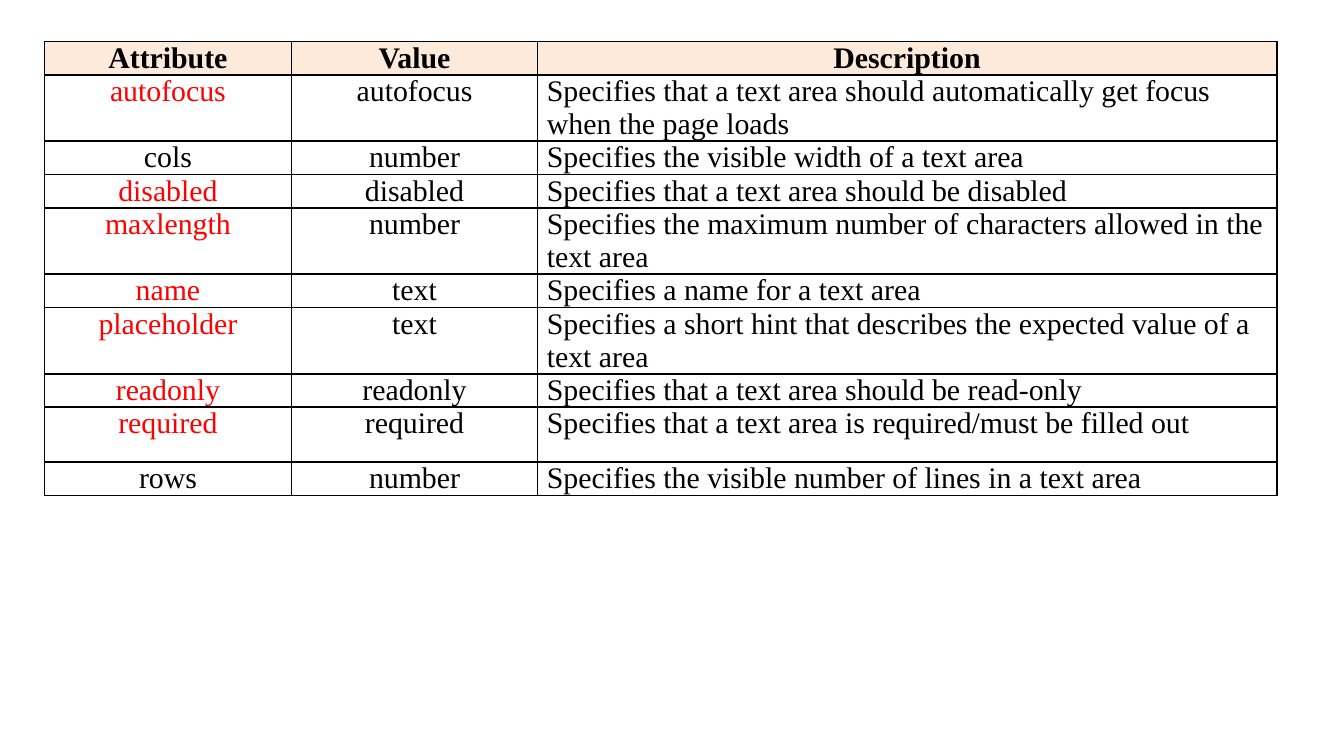
import pptx
import pptx.util
import pptx.dml.color
import pptx.enum.text
import pptx.oxml.ns
import lxml.etree

Inches = pptx.util.Inches
ALIGN = pptx.enum.text.PP_ALIGN
COLORS = {"text": "000000", "highlight": "FF0000", "header": "FDEADA", "border": "000000"}

HEADERS = ("Attribute", "Value", "Description")
ATTRIBUTES = [
    ("autofocus", "autofocus",
     "Specifies that a text area should automatically get focus when the page loads"),
    ("cols", "number", "Specifies the visible width of a text area"),
    ("disabled", "disabled", "Specifies that a text area should be disabled"),
    ("maxlength", "number",
     "Specifies the maximum number of characters allowed in the text area"),
    ("name", "text", "Specifies a name for a text area"),
    ("placeholder", "text",
     "Specifies a short hint that describes the expected value of a text area"),
    ("readonly", "readonly", "Specifies that a text area should be read-only"),
    ("required", "required", "Specifies that a text area is required/must be filled out"),
    ("rows", "number", "Specifies the visible number of lines in a text area"),
]
PLAIN_NAMES = {"cols", "rows"}
TALL_NAMES = {"autofocus", "maxlength", "placeholder", "required"}
COLUMN_WIDTHS = (1.84, 1.83, 5.5)
ROW_HEIGHT, TALL_HEIGHT = 0.2, 0.41


def rgb(name):
    return pptx.dml.color.RGBColor.from_string(COLORS[name])


def set_all(target, values):
    for name, value in values.items():
        setattr(target, name, value)


class SlideBuilder:
    FONT = {"name": "Times New Roman", "size": pptx.util.Pt(16)}
    MARGINS = {"margin_left": Inches(0.07), "margin_right": Inches(0.07),
               "margin_top": 0, "margin_bottom": 0}

    def __init__(self, page):
        self.page = page

    def table(self, left, top, widths, heights):
        frame = self.page.shapes.add_table(
            len(heights), len(widths), Inches(left), Inches(top),
            Inches(sum(widths)), Inches(sum(heights)))
        grid = frame.table
        set_all(grid, {"first_row": False, "horz_banding": False})
        for column, width in zip(grid.columns, widths):
            column.width = Inches(width)
        for row, height in zip(grid.rows, heights):
            row.height = Inches(height)
        return grid

    def borders(self, cell):
        qn = pptx.oxml.ns.qn
        properties = cell._tc.get_or_add_tcPr()
        for side in ("a:lnL", "a:lnR", "a:lnT", "a:lnB"):
            line = lxml.etree.SubElement(properties, qn(side), w=str(pptx.util.Pt(1)))
            fill = lxml.etree.SubElement(line, qn("a:solidFill"))
            lxml.etree.SubElement(fill, qn("a:srgbClr"), val=COLORS["border"])

    def cell(self, cell, text, align, color="text", bold=False, fill=None):
        set_all(cell, self.MARGINS)
        self.borders(cell)
        if fill:
            cell.fill.solid()
            cell.fill.fore_color.rgb = rgb(fill)
        else:
            cell.fill.background()
        para = cell.text_frame.paragraphs[0]
        para.alignment = align
        span = para.add_run()
        span.text = text
        set_all(span.font, {**self.FONT, "bold": bold})
        span.font.color.rgb = rgb(color)


def main():
    # Widescreen page, 16:9
    deck = pptx.Presentation()
    set_all(deck, {"slide_width": Inches(10), "slide_height": Inches(10 * 9 / 16)})
    builder = SlideBuilder(deck.slides.add_slide(deck.slide_layouts[6]))

    # Table grid
    heights = [ROW_HEIGHT] + [TALL_HEIGHT if name in TALL_NAMES else ROW_HEIGHT
                              for name, _, _ in ATTRIBUTES]
    grid = builder.table(0.33, 0.31, COLUMN_WIDTHS, heights)

    # Header row
    for column, text in enumerate(HEADERS):
        builder.cell(grid.cell(0, column), text, ALIGN.CENTER, bold=True, fill="header")

    # Attribute rows
    for row, (name, value, description) in enumerate(ATTRIBUTES, start=1):
        color = "text" if name in PLAIN_NAMES else "highlight"
        builder.cell(grid.cell(row, 0), name, ALIGN.CENTER, color)
        builder.cell(grid.cell(row, 1), value, ALIGN.CENTER)
        builder.cell(grid.cell(row, 2), description, ALIGN.LEFT)

    deck.save("out.pptx")


if __name__ == "__main__":
    main()
